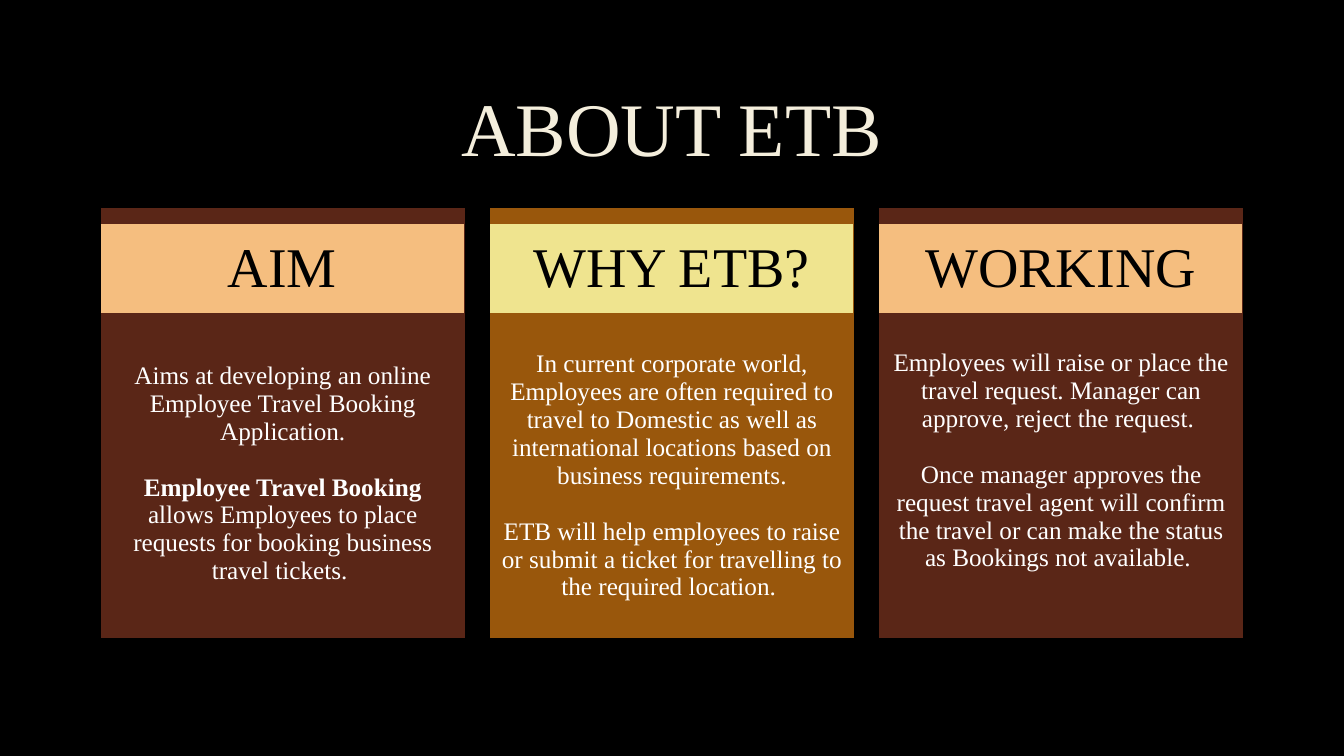
from lxml import etree
from pptx import Presentation
from pptx.dml.color import RGBColor
from pptx.enum.text import MSO_ANCHOR, PP_ALIGN
from pptx.oxml.ns import qn
from pptx.util import Inches, Pt

CENTER = PP_ALIGN.CENTER
MIDDLE = MSO_ANCHOR.MIDDLE
TOP = MSO_ANCHOR.TOP
PLAIN = "{2D5ABB26-0587-4C30-8999-92F81FD0307C}"
FONT = "Times New Roman"
COLORS = {
    "black": "000000",
    "white": "FFFFFF",
    "cream": "F4EEDC",
    "edge": "404040",
    "brown": "5A2617",
    "amber": "99570C",
    "peach": "F5BE7F",
    "lemon": "EFE48F",
}
LEFT, PITCH, WIDTH = 1, 3.86, 3.61
LINE = 20

COLUMNS = [
    ("AIM", "brown", "peach", TOP, 0.33, 0.05, [
        ["Aims at developing an online", "Employee Travel Booking", "Application."],
        ["Employee Travel Booking *allows Employees to place requests for "
         "booking business travel tickets. "],
    ]),
    ("WHY ETB?", "amber", "lemon", MIDDLE, 0.05, 0.05, [
        ["In current corporate world, Employees are often required to travel to "
         "Domestic as well as international locations based on business requirements."],
        ["ETB will help employees to raise or submit a ticket for travelling to "
         "the required location. "],
    ]),
    ("WORKING", "brown", "peach", MIDDLE, 0.05, 0.35, [
        ["Employees will raise or place the travel request. Manager can approve, "
         "reject the request. "],
        ["Once manager approves the request travel agent will confirm the travel "
         "or can make the status as Bookings not available. "],
    ]),
]


class Deck:
    def __init__(self):
        self.file = Presentation()
        self.file.slide_width = Inches(13.33)
        self.file.slide_height = Inches(7.5)
        self.slide = self.file.slides.add_slide(self.file.slide_layouts[6])
        self.paint(self.slide.background.fill, "black")

    def paint(self, fill, color):
        fill.solid()
        fill.fore_color.rgb = RGBColor.from_string(COLORS[color])

    def style(self, para, size, color):
        para.alignment = CENTER
        for run in para.runs:
            run.font.name = FONT
            run.font.size = Pt(size)
            run.font.color.rgb = RGBColor.from_string(COLORS[color])

    def outline(self, run):
        props = run.font._element if hasattr(run.font, "_element") else run._r.get_or_add_rPr()
        line = etree.Element(qn("a:ln"), w=str(Pt(0.75)))
        fill = etree.SubElement(line, qn("a:solidFill"))
        tone = etree.SubElement(fill, qn("a:srgbClr"), val=COLORS["edge"])
        etree.SubElement(tone, qn("a:alpha"), val="10000")
        props.insert(0, line)

    def title(self, text, left, top, width, height):
        box = self.slide.shapes.add_textbox(
            Inches(left), Inches(top), Inches(width), Inches(height))
        frame = box.text_frame
        frame.word_wrap = True
        frame.vertical_anchor = MIDDLE
        frame.text = text
        para = frame.paragraphs[0]
        para.line_spacing = 0.9
        self.style(para, 54, "cream")
        self.outline(para.runs[0])

    def block(self, left, top, width, height, color=None):
        item = self.slide.shapes.add_table(
            1, 1, Inches(left), Inches(top), Inches(width), Inches(height))
        table = item.table
        table.first_row = False
        table.horz_banding = False
        item.element.find(".//" + qn("a:tableStyleId")).text = PLAIN
        cell = table.cell(0, 0)
        if color:
            self.paint(cell.fill, color)
        else:
            cell.fill.background()
        return cell

    def header(self, text, left, color):
        cell = self.block(left, 2.22, WIDTH - 0.01, 0.89, color)
        cell.vertical_anchor = MIDDLE
        cell.text_frame.text = text
        self.style(cell.text_frame.paragraphs[0], 40, "black")

    def body(self, groups, left, anchor, above, below):
        cell = self.block(left, 3.26, WIDTH, 2.92)
        cell.vertical_anchor = anchor
        cell.margin_top = Inches(above)
        cell.margin_bottom = Inches(below)
        frame = cell.text_frame
        para = None
        for group in groups:
            for place, text in enumerate(group):
                first = para is None
                para = frame.paragraphs[0] if first else frame.add_paragraph()
                strong, _, rest = text.rpartition("*")
                para.text = strong or rest
                if strong:
                    para.runs[0].font.bold = True
                    para.add_run().text = rest
                if place == 0 and not first:
                    para.space_before = Pt(LINE)
                self.style(para, 18, "white")


def main():
    deck = Deck()
    deck.title("ABOUT ETB", 1, 0.62, 11.32, 1.38)
    for place, column in enumerate(COLUMNS):
        name, back, band, anchor, above, below, groups = column
        left = LEFT + PITCH * place
        deck.block(left, 2.06, WIDTH, 4.27, back)
        deck.header(name, left, band)
        deck.body(groups, left, anchor, above, below)
    deck.file.save("out.pptx")


if __name__ == "__main__":
    main()
